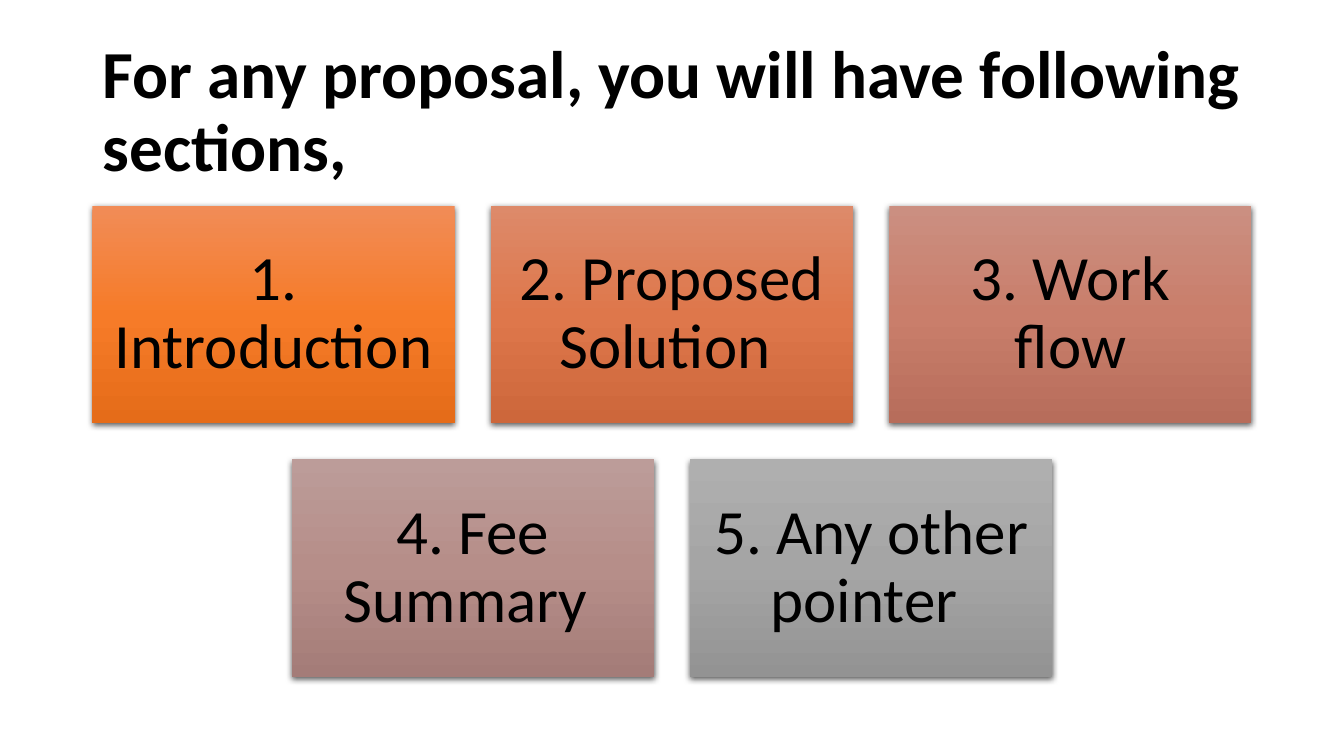
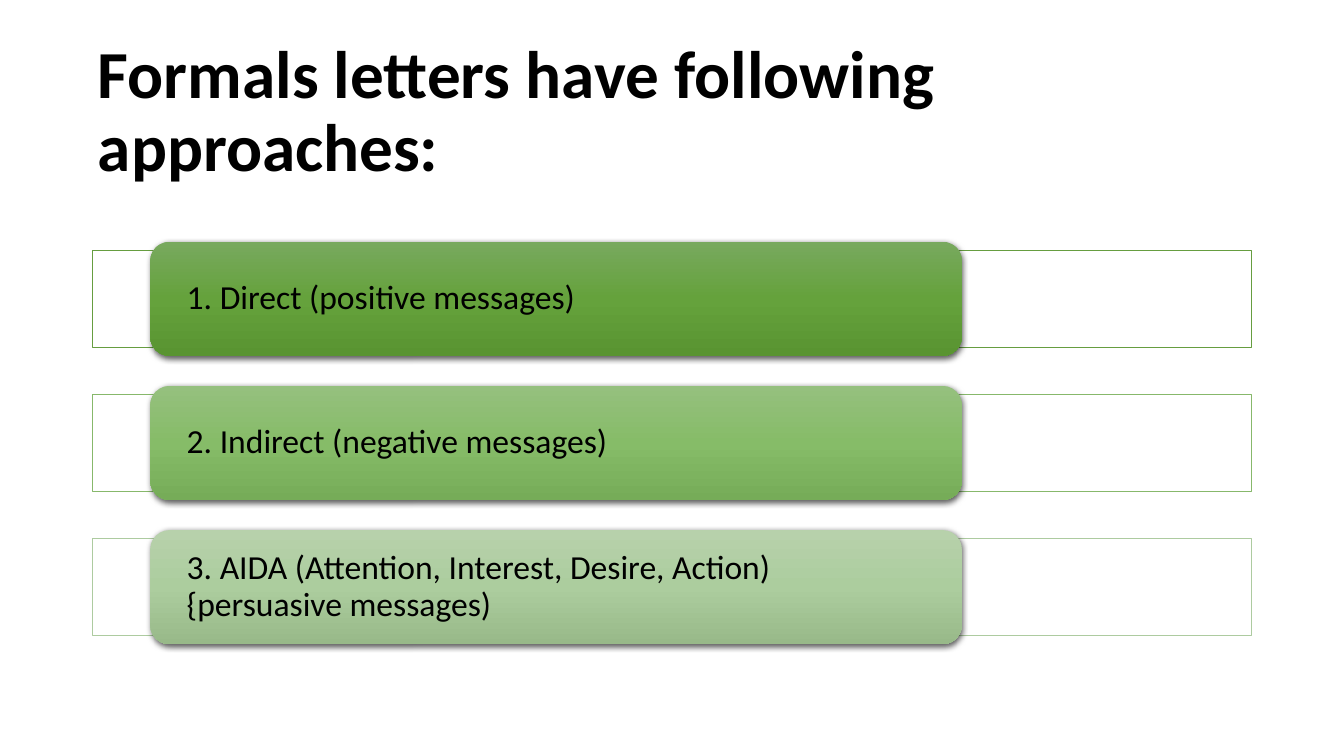
from copy import deepcopy

from lxml import etree
from pptx import Presentation
from pptx.dml import color as dml_color
from pptx.enum import shapes, text
from pptx.oxml import ns
from pptx.util import Pt

LEFT, CONTENT_WIDTH = 66, 828
TITLE_SIZE, SECTION_SIZE, APPROACH_SIZE = 48, 45, 24

SECTIONS = [
    ("1. Introduction ", ("F18C57", "F67B28", "E56C19")),
    ("2. Proposed Solution ", ("DD8A6A", "DE774B", "CD673B")),
    ("3. Work flow", ("CB8F81", "C97E6B", "B76D5B")),
    ("4. Fee Summary ", ("BC9C99", "B68E89", "A47C78")),
    ("5. Any other pointer ", ("AFAFAF", "A5A5A5", "939393")),
]
APPROACHES = [
    ("1. Direct (positive messages)", "669D40", ("78A95E", "65A23C", "599431")),
    ("2. Indirect (negative messages)", "87B86B", ("95C07E", "86BC68", "76AC58")),
    ("3. AIDA (Attention, Interest, Desire, Action)\v{persuasive messages)",
     "ADCBA0", ("B7D1AB", "ACCD9E", "98B989")),
]


def rgb(value):
    return dml_color.RGBColor.from_string(value)


def set_values(target, values):
    for name, value in values.items():
        setattr(target, name, value)


class Deck:
    """Holds the shared style and the slide being filled."""

    font_name = "Calibri"
    text_color = "000000"
    frame_fill = "FFFFFF"

    def __init__(self):
        self.presentation = Presentation()
        set_values(self.presentation, {"slide_width": Pt(960), "slide_height": Pt(540)})
        self.slide = None

    def add_slide(self, title, left, top, height):
        self.slide = self.presentation.slides.add_slide(self.presentation.slide_layouts[5])
        shape = self.slide.shapes.title
        set_values(shape, {"left": Pt(left), "top": Pt(top),
                           "width": Pt(CONTENT_WIDTH), "height": Pt(height)})
        self.set_text(shape, title, TITLE_SIZE, text.PP_ALIGN.LEFT, 7.2, 3.6, bold=True)

    def set_text(self, shape, words, size, alignment, side_inset, end_inset, bold=False):
        frame = shape.text_frame
        set_values(frame, {
            "text": words, "word_wrap": True, "auto_size": text.MSO_AUTO_SIZE.NONE,
            "vertical_anchor": text.MSO_ANCHOR.MIDDLE,
            "margin_left": Pt(side_inset), "margin_right": Pt(side_inset),
            "margin_top": Pt(end_inset), "margin_bottom": Pt(end_inset),
        })
        paragraph = frame.paragraphs[0]
        set_values(paragraph, {"alignment": alignment, "line_spacing": 0.9})
        for run in paragraph.runs:
            set_values(run.font, {"name": self.font_name, "size": Pt(size), "bold": bold})
            run.font.color.rgb = rgb(self.text_color)

    def add_shape(self, kind, left, top, width, height):
        shape = self.slide.shapes.add_shape(kind, Pt(left), Pt(top), Pt(width), Pt(height))
        shape.shadow.inherit = False
        return shape

    def add_frame(self, left, top, width, height, line_color):
        shape = self.add_shape(shapes.MSO_SHAPE.RECTANGLE, left, top, width, height)
        shape.fill.solid()
        shape.fill.fore_color.rgb = rgb(self.frame_fill)
        shape.line.color.rgb = rgb(line_color)
        shape.line.width = Pt(0.5)

    def add_card(self, kind, left, top, width, height, colors):
        """Add a shape with a three-stop vertical gradient and a soft shadow."""
        shape = self.add_shape(kind, left, top, width, height)
        shape.line.fill.background()
        shape.fill.gradient()
        shape.fill.gradient_angle = 270
        properties = shape._element.spPr
        stop_list = properties.find(".//" + ns.qn("a:gsLst"))
        stop_list.append(deepcopy(stop_list[0]))
        for stop, color, position in zip(shape.fill.gradient_stops, colors, (0, 0.5, 1)):
            stop.color.rgb = rgb(color)
            stop.position = position
        shadow = etree.SubElement(
            properties.find(ns.qn("a:effectLst")), ns.qn("a:outerShdw"),
            blurRad=str(Pt(4.5)), dist=str(Pt(1.5)), dir="5400000", rotWithShape="0")
        shade = etree.SubElement(shadow, ns.qn("a:srgbClr"), val="000000")
        etree.SubElement(shade, ns.qn("a:alpha"), val="63000")
        return shape


def add_sections(deck):
    deck.add_slide("For any proposal, you will have following sections,", LEFT, 28.75, 104.4)
    columns, top = 3, 147
    width = CONTENT_WIDTH / 3.2
    gap, height = width * 0.1, width * 0.6
    for index, (words, colors) in enumerate(SECTIONS):
        row, column = divmod(index, columns)
        in_row = min(columns, len(SECTIONS) - row * columns)
        row_left = LEFT + (columns - in_row) * (width + gap) / 2
        card = deck.add_card(shapes.MSO_SHAPE.RECTANGLE, row_left + column * (width + gap),
                             top + row * (height + gap), width, height, colors)
        deck.set_text(card, words, SECTION_SIZE, text.PP_ALIGN.CENTER, 13.5, 13.5)


def add_approaches(deck):
    deck.add_slide("Formals letters have following approaches:", 62.75, 53.25, 55.5)
    first_middle, step = 213.4, 103
    frame_height, card_height = 69.5, 81.5
    for index, (words, line_color, colors) in enumerate(APPROACHES):
        middle = first_middle + index * step
        deck.add_frame(LEFT, middle - frame_height / 2, CONTENT_WIDTH, frame_height, line_color)
        card = deck.add_card(shapes.MSO_SHAPE.ROUNDED_RECTANGLE, LEFT + CONTENT_WIDTH * 0.05,
                             middle - card_height / 2, CONTENT_WIDTH * 0.7, card_height, colors)
        deck.set_text(card, words, APPROACH_SIZE, text.PP_ALIGN.LEFT, 22, 0)


def main():
    deck = Deck()
    add_sections(deck)
    add_approaches(deck)
    deck.presentation.save("out.pptx")


if __name__ == "__main__":
    main()
